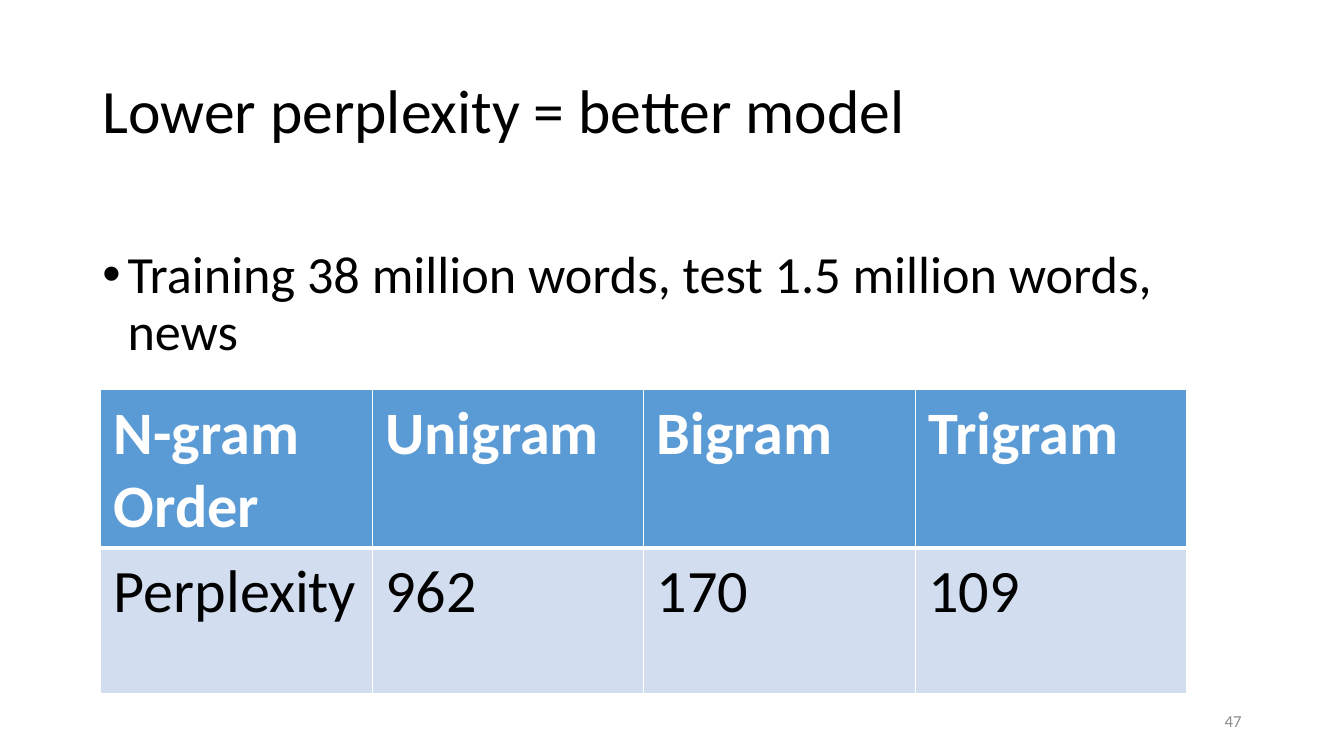
import dataclasses

import pptx
import pptx.dml.color
import pptx.enum.text
import pptx.oxml
import pptx.oxml.ns
import pptx.util

ANCHOR = pptx.enum.text.MSO_ANCHOR
ALIGN = pptx.enum.text.PP_ALIGN


@dataclasses.dataclass(frozen=True)
class Theme:
    font: str = "Calibri"
    ink: str = "000000"
    paper: str = "FFFFFF"
    header_fill: str = "5B9BD5"
    body_fill: str = "D2DEEF"
    muted: str = "8C8C8C"
    title_size: float = 44
    bullet_size: float = 37.3
    table_size: float = 43
    number_size: float = 12
    thin_rule: float = 1
    thick_rule: float = 3


def color(code):
    return pptx.dml.color.RGBColor.from_string(code)


class Page:
    """A slide on a grid of 160 columns by 90 rows, styled by one theme."""

    COLUMNS, ROWS = 160, 90

    def __init__(self, deck, theme):
        self.theme = theme
        self.column = deck.slide_width / self.COLUMNS
        self.row = deck.slide_height / self.ROWS
        self.slide = deck.slides.add_slide(deck.slide_layouts[5])
        self.slide.background.fill.solid()
        self.slide.background.fill.fore_color.rgb = color(theme.paper)

    def area(self, left, top, width, height):
        return (round(left * self.column), round(top * self.row),
                round(width * self.column), round(height * self.row))

    def set_text(self, frame, text, size, ink, bold=False, align=ALIGN.LEFT):
        frame.word_wrap = True
        frame.text = text
        para = frame.paragraphs[0]
        para.alignment = align
        for span in para.runs:
            span.font.name = self.theme.font
            span.font.size = pptx.util.Pt(size)
            span.font.bold = bold
            span.font.color.rgb = color(ink)
        return para

    def title(self, text, *place):
        box = self.slide.shapes.title
        box.left, box.top, box.width, box.height = self.area(*place)
        frame = box.text_frame
        frame.auto_size = pptx.enum.text.MSO_AUTO_SIZE.NONE
        frame.vertical_anchor = ANCHOR.MIDDLE
        para = self.set_text(frame, text, self.theme.title_size, self.theme.ink)
        para.line_spacing = 0.9

    def bullet(self, text, *place):
        box = self.slide.shapes.add_textbox(*self.area(*place))
        para = self.set_text(box.text_frame, text, self.theme.bullet_size, self.theme.ink)
        para.line_spacing = 0.9
        indent = pptx.util.Inches(0.25)
        properties = para._p.get_or_add_pPr()
        properties.set("marL", str(indent))
        properties.set("indent", str(-indent))
        namespace = pptx.oxml.ns.nsdecls("a")
        properties.append(pptx.oxml.parse_xml(f'<a:buFont {namespace} typeface="Arial"/>'))
        properties.append(pptx.oxml.parse_xml(f'<a:buChar {namespace} char="•"/>'))

    def table(self, lines, row_heights, *place):
        """Draw lines of text as a table whose first line is the header."""
        theme = self.theme
        table = self.slide.shapes.add_table(
            len(lines), len(lines[0]), *self.area(*place)).table
        for index, (line, height) in enumerate(zip(lines, row_heights)):
            table.rows[index].height = round(height * self.row)
            header = index == 0
            for position, text in enumerate(line):
                cell = table.cell(index, position)
                cell.margin_left = cell.margin_right = pptx.util.Inches(0.13)
                cell.margin_top = cell.margin_bottom = pptx.util.Inches(0.07)
                self.borders(cell, header)
                cell.fill.solid()
                cell.fill.fore_color.rgb = color(
                    theme.header_fill if header else theme.body_fill)
                self.set_text(cell.text_frame, text, theme.table_size,
                              theme.paper if header else theme.ink, bold=header)

    def borders(self, cell, header):
        """Rule a cell thinly, with a thick rule between header and body."""
        thick_side = "B" if header else "T"
        properties = cell._tc.get_or_add_tcPr()
        for side in "LRTB":
            points = self.theme.thick_rule if side == thick_side else self.theme.thin_rule
            properties.append(pptx.oxml.parse_xml(
                f'<a:ln{side} {pptx.oxml.ns.nsdecls("a")} w="{pptx.util.Pt(points)}">'
                f'<a:solidFill><a:srgbClr val="{self.theme.paper}"/></a:solidFill>'
                f'</a:ln{side}>'))

    def number(self, text, *place):
        box = self.slide.shapes.add_textbox(*self.area(*place))
        box.text_frame.vertical_anchor = ANCHOR.MIDDLE
        self.set_text(box.text_frame, text, self.theme.number_size,
                      self.theme.muted, align=ALIGN.RIGHT)


def main():
    deck = pptx.Presentation()
    deck.slide_width = pptx.util.Inches(13.33)
    deck.slide_height = pptx.util.Inches(7.5)
    page = Page(deck, Theme())
    page.title("Lower perplexity = better model", 11, 4.8, 138, 17.4)
    page.bullet("Training 38 million words, test 1.5 million words, news",
                11, 29, 138, 16)
    page.table([["N-gram Order", "Unigram", "Bigram", "Trigram"],
                ["Perplexity", "962", "170", "109"]],
               [18.8, 17.3], 12, 46.4, 129.3, 36.1)
    page.number("47", 113, 83.4, 36, 4.8)
    deck.save("out.pptx")


if __name__ == "__main__":
    main()
